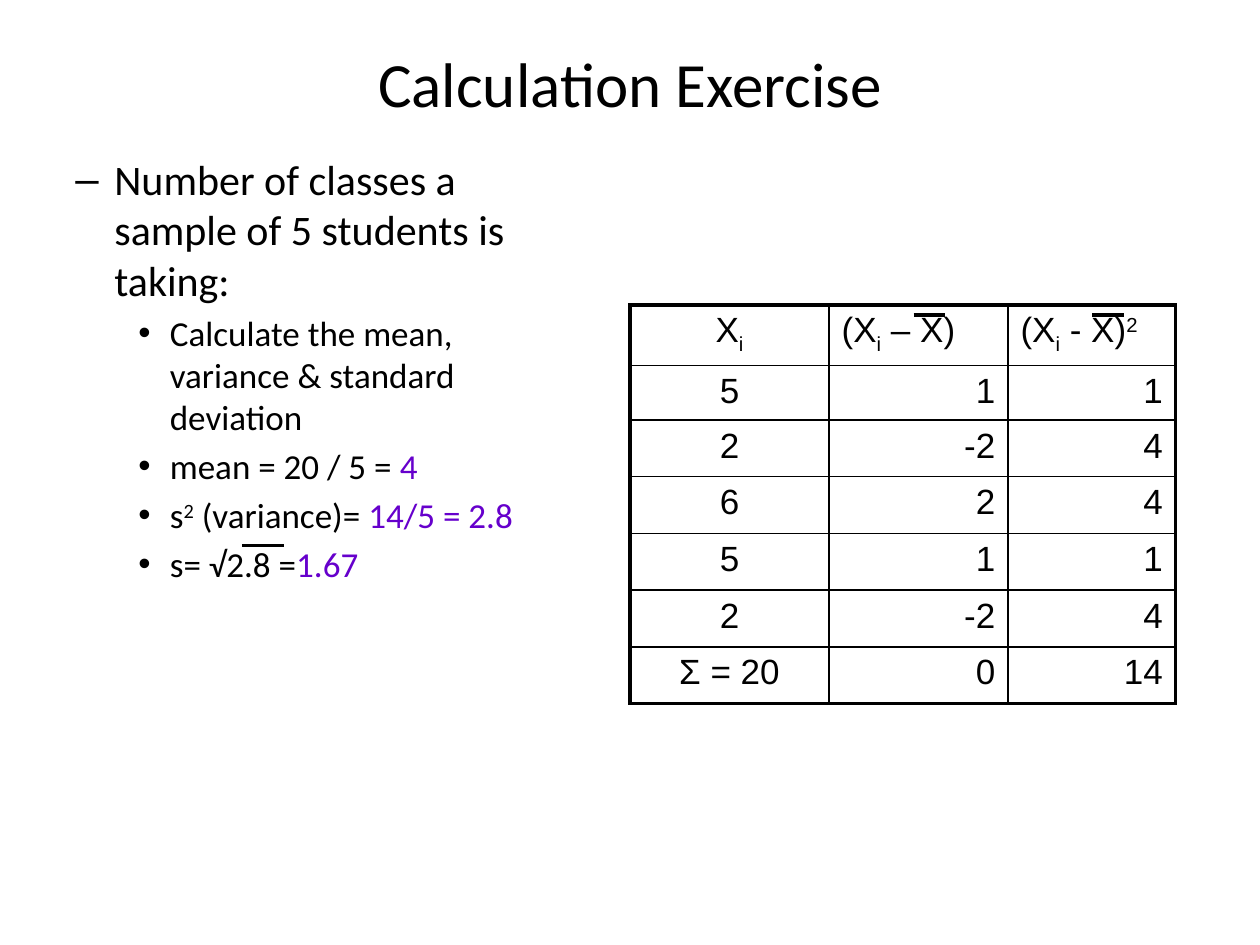
from lxml.etree import SubElement
from pptx import Presentation
from pptx.dml.color import RGBColor
from pptx.enum.shapes import MSO_CONNECTOR
from pptx.enum.text import MSO_ANCHOR, PP_ALIGN
from pptx.oxml.ns import qn
from pptx.util import Inches, Pt

BLACK = RGBColor(0x00, 0x00, 0x00)
PURPLE = RGBColor(0x66, 0x00, 0xCC)
SUB, SUP = -25, 30
THIN, THICK = 1, 2.25


def add_text(p, text, size=20, font="Calibri", color=BLACK, base=0):
    """Add one formatted run to a paragraph."""
    r = p.add_run()
    r.text = text
    r.font.size = Pt(size)
    r.font.name = font
    r.font.color.rgb = color
    if base:
        r.font._element.set("baseline", str(base * 1000))


def set_bullet(p, char, left, hang):
    """Give a paragraph a bullet with a hanging indent."""
    pPr = p._p.get_or_add_pPr()
    pPr.set("marL", str(Inches(left)))
    pPr.set("indent", str(-Inches(hang)))
    SubElement(pPr, qn("a:buFont")).set("typeface", "Arial")
    SubElement(pPr, qn("a:buChar")).set("char", char)


def set_border(cell, **widths):
    """Draw the left, top, right and bottom lines of a cell."""
    tcPr = cell._tc.get_or_add_tcPr()
    for i, side in enumerate("LRTB"):
        ln = tcPr.makeelement(qn(f"a:ln{side}"), {"w": str(Pt(widths[side]))})
        fill = SubElement(ln, qn("a:solidFill"))
        SubElement(fill, qn("a:srgbClr")).set("val", str(BLACK))
        tcPr.insert(i, ln)


def add_bar(s, x, y, width, weight):
    """Draw a horizontal bar over a symbol."""
    bar = s.shapes.add_connector(MSO_CONNECTOR.STRAIGHT, Inches(x), Inches(y),
                                 Inches(x + width), Inches(y))
    bar.line.color.rgb = BLACK
    bar.line.width = Pt(weight)
    SubElement(bar._element.spPr, qn("a:effectLst"))


def add_title(s, x, y, w, h):
    """Place the slide title."""
    sp = s.shapes.title
    sp.left, sp.top, sp.width, sp.height = map(Inches, (x, y, w, h))
    tf = sp.text_frame
    tf.vertical_anchor = MSO_ANCHOR.MIDDLE
    p = tf.paragraphs[0]
    p.alignment = PP_ALIGN.CENTER
    add_text(p, "Calculation Exercise", size=36)


def add_exercise(s, x, y, w, h):
    """Place the question, its worked answers and the root bar."""
    tf = s.shapes.add_textbox(*map(Inches, (x, y, w, h))).text_frame
    tf.word_wrap = True
    p = tf.paragraphs[0]
    p.level = 1
    add_text(p, "Number of classes a sample of 5 students is taking:", size=24)
    set_bullet(p, "–", 0.81, 0.31)
    answer = {"color": PURPLE}
    steps = [
        [("Calculate the mean, variance & standard deviation", {})],
        [("mean = 20 / 5 = ", {}), ("4", answer)],
        [("s", {}), ("2", {"base": SUP}), (" (variance)= ", {}), ("14/5 = 2.8", answer)],
        [("s= √2.8 =", {}), ("1.67", answer)],
    ]
    for step in steps:
        p = tf.add_paragraph()
        p.level = 2
        p.space_before = Pt(4)
        set_bullet(p, "•", 1.25, 0.25)
        for text, fmt in step:
            add_text(p, text, **fmt)
    add_bar(s, x + 1.92, y + 3.16, 0.33, 1.5)


def add_deviations(s, x, y):
    """Place the table of deviations and the bars over its means."""
    col_widths = [1.58, 1.42, 1.33]
    row_heights = [0.46, 0.41] + [0.45] * 5
    sub_i = ("i", SUB)
    header = [
        [("X", 0), sub_i],
        [("(X", 0), sub_i, (" – X)", 0)],
        [("(X", 0), sub_i, (" - X)", 0), ("2", SUP)],
    ]
    data = [("5", "1", "1"), ("2", "-2", "4"), ("6", "2", "4"),
            ("5", "1", "1"), ("2", "-2", "4"), ("Σ = 20", "0", "14")]
    rows = [header] + [[[(value, 0)] for value in row] for row in data]
    table = s.shapes.add_table(len(rows), len(col_widths), Inches(x), Inches(y),
                               Inches(sum(col_widths)), Inches(sum(row_heights))).table
    table.first_row = table.horz_banding = False
    for col, width in zip(table.columns, col_widths):
        col.width = Inches(width)
    last_row, last_col = len(rows) - 1, len(col_widths) - 1
    for i, row in enumerate(rows):
        table.rows[i].height = Inches(row_heights[i])
        for j, runs in enumerate(row):
            cell = table.cell(i, j)
            cell.fill.background()
            set_border(cell, L=THIN if j else THICK, T=THIN if i else THICK,
                       R=THICK if j == last_col else THIN,
                       B=THICK if i == last_row else THIN)
            p = cell.text_frame.paragraphs[0]
            if j == 0:
                p.alignment = PP_ALIGN.CENTER
            else:
                p.alignment = PP_ALIGN.RIGHT if i else PP_ALIGN.LEFT
            for text, base in runs:
                add_text(p, text, font="Arial", base=base)
    for offset in (2.25, 3.67):
        add_bar(s, x + offset, y + 0.08, 0.25, THICK)


prs = Presentation()
prs.slide_width, prs.slide_height = Inches(10), Inches(7.5)
s = prs.slides.add_slide(prs.slide_layouts[5])
add_title(s, 0.5, 0.3, 9, 0.7)
add_exercise(s, 0, 1.17, 4.67, 5.67)
add_deviations(s, 5, 2.42)
prs.save("out.pptx")
